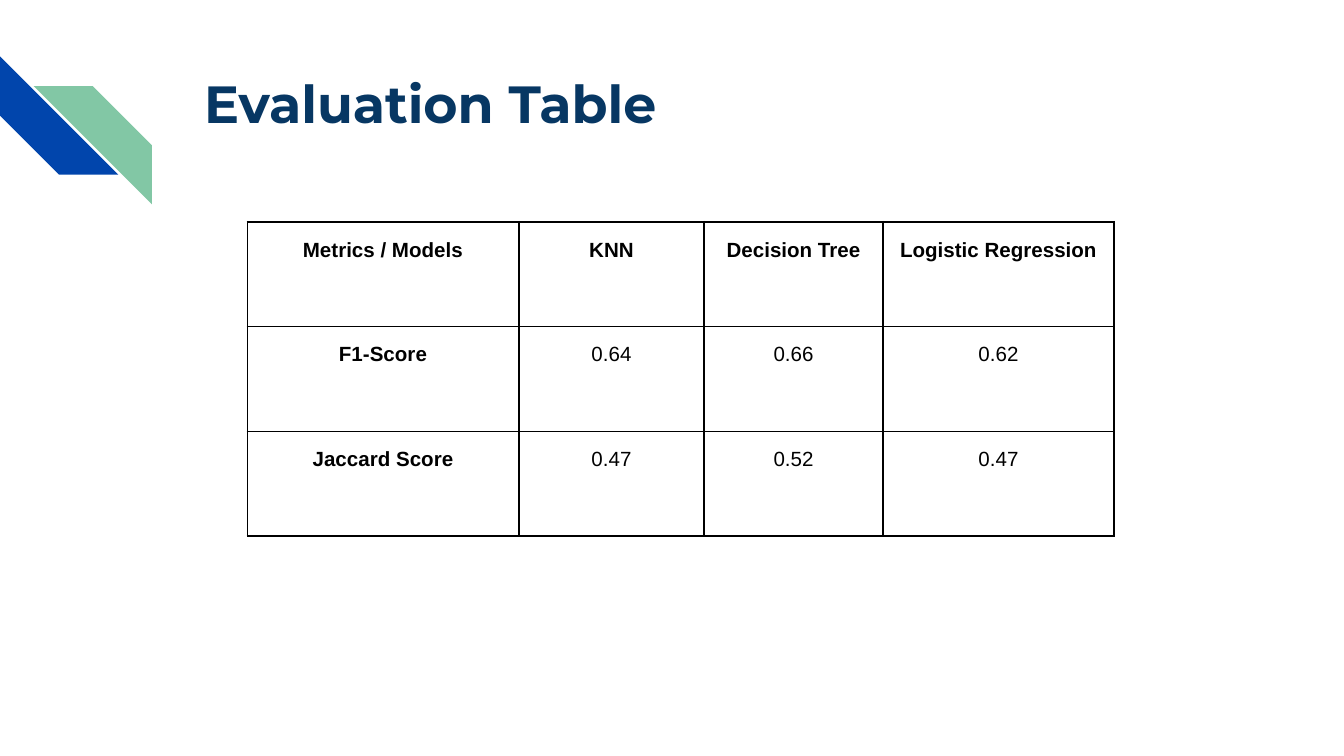
from lxml import etree
from pptx import Presentation
from pptx.dml.color import RGBColor
from pptx.enum.shapes import MSO_SHAPE
from pptx.enum.text import PP_ALIGN
from pptx.oxml.ns import qn
from pptx.util import Inches, Pt

STRIPE = MSO_SHAPE.DIAGONAL_STRIPE
CENTER = PP_ALIGN.CENTER


def color(code):
    return RGBColor.from_string(code)


def border(cell, code, width):
    props = cell._tc.get_or_add_tcPr()
    for side in ("lnL", "lnR", "lnT", "lnB"):
        line = etree.SubElement(props, qn("a:" + side), w=str(Pt(width)))
        fill = etree.SubElement(line, qn("a:solidFill"))
        etree.SubElement(fill, qn("a:srgbClr"), val=code)


# Widescreen 16:9 page
prs = Presentation()
prs.slide_width = Inches(10)
prs.slide_height = Inches(10 * 9 / 16)
slide = prs.slides.add_slide(prs.slide_layouts[6])

# Corner stripes
for left, top, turn, code in [(0, 0.42, 270, "0145AC"), (0.25, 0.64, 90, "82C7A5")]:
    stripe = slide.shapes.add_shape(
        STRIPE, Inches(left), Inches(top), Inches(0.88), Inches(0.88))
    stripe.rotation = turn
    stripe.adjustments[0] = 0.5
    stripe.shadow.inherit = False
    stripe.fill.solid()
    stripe.fill.fore_color.rgb = color(code)
    stripe.line.fill.background()

# Title
title = slide.shapes.add_textbox(Inches(1.42), Inches(0.43), Inches(7.7), Inches(0.59))
frame = title.text_frame
frame.word_wrap = True
frame.margin_left = frame.margin_right = Inches(0.1)
frame.margin_top = frame.margin_bottom = Inches(0.1)
frame.text = "Evaluation Table"
font = frame.paragraphs[0].runs[0].font
font.name, font.size, font.bold = "Montserrat", Pt(28), True
font.color.rgb = color("073763")

# Score table
rows = [
    ["Metrics / Models", "KNN", "Decision Tree", "Logistic Regression"],
    ["F1-Score", "0.64", "0.66", "0.62"],
    ["Jaccard Score", "0.47", "0.52", "0.47"],
]
widths = [2.02, 1.38, 1.33, 1.72]
height = 0.78
table = slide.shapes.add_table(
    len(rows), len(widths), Inches(1.84), Inches(1.65),
    Inches(sum(widths)), Inches(height * len(rows))).table
table.first_row = table.horz_banding = False
for col, width in zip(table.columns, widths):
    col.width = Inches(width)

for r, row in enumerate(rows):
    table.rows[r].height = Inches(height)
    for c, text in enumerate(row):
        head = r == 0 or c == 0
        cell = table.cell(r, c)
        border(cell, "000000", 1)
        cell.fill.background()
        cell.margin_left = cell.margin_right = Inches(0.07)
        cell.margin_top = cell.margin_bottom = Inches(0.1)
        cell.text_frame.text = text
        para = cell.text_frame.paragraphs[0]
        para.alignment = CENTER
        para.line_spacing = 1.15
        if head:
            para.space_before = Pt(11)
        font = para.runs[0].font
        font.name, font.size, font.bold = "Arial", Pt(11), head
        font.color.rgb = color("000000")

prs.save("out.pptx")
